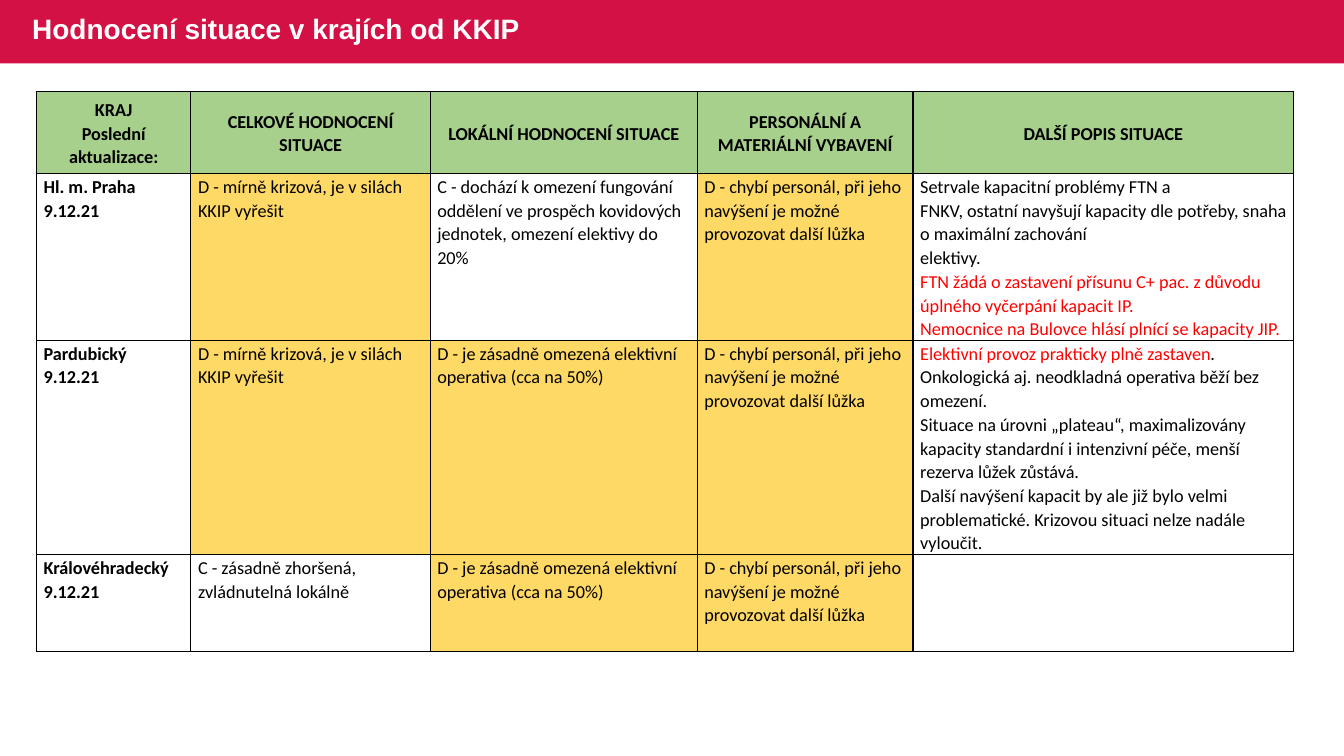
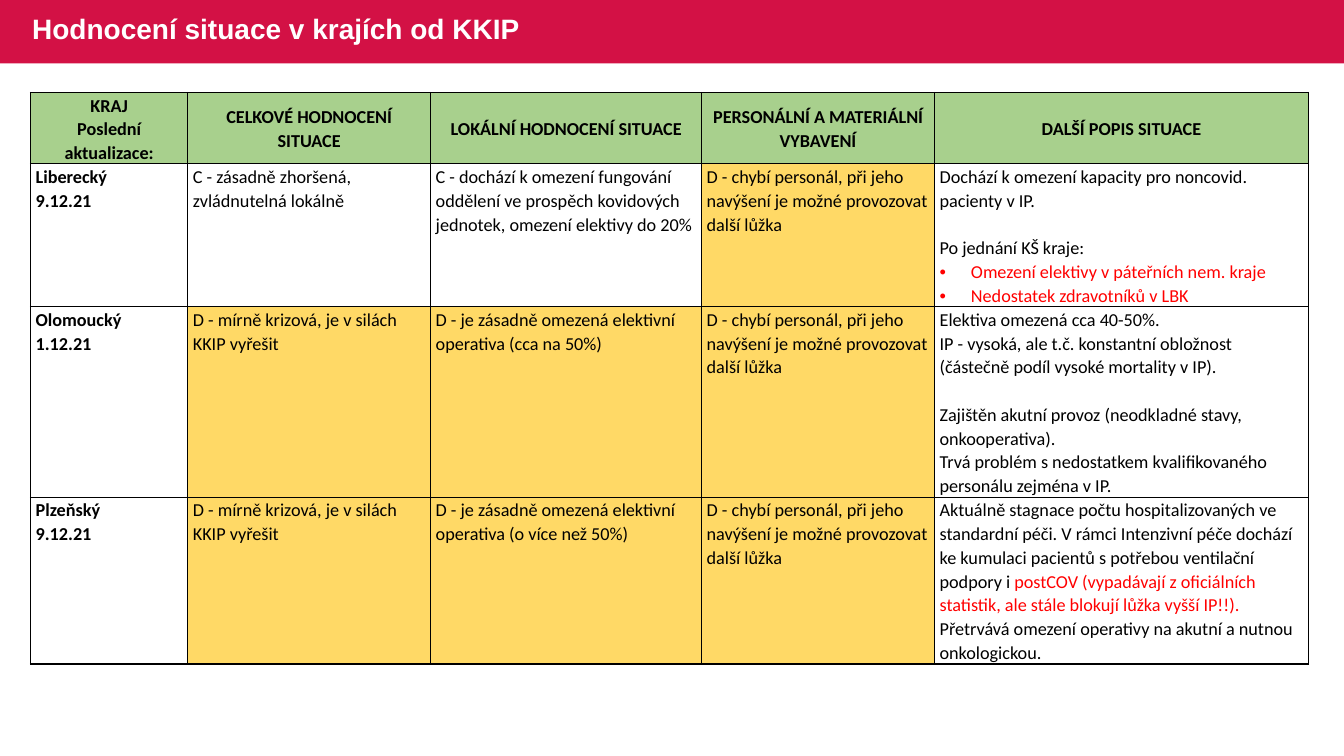
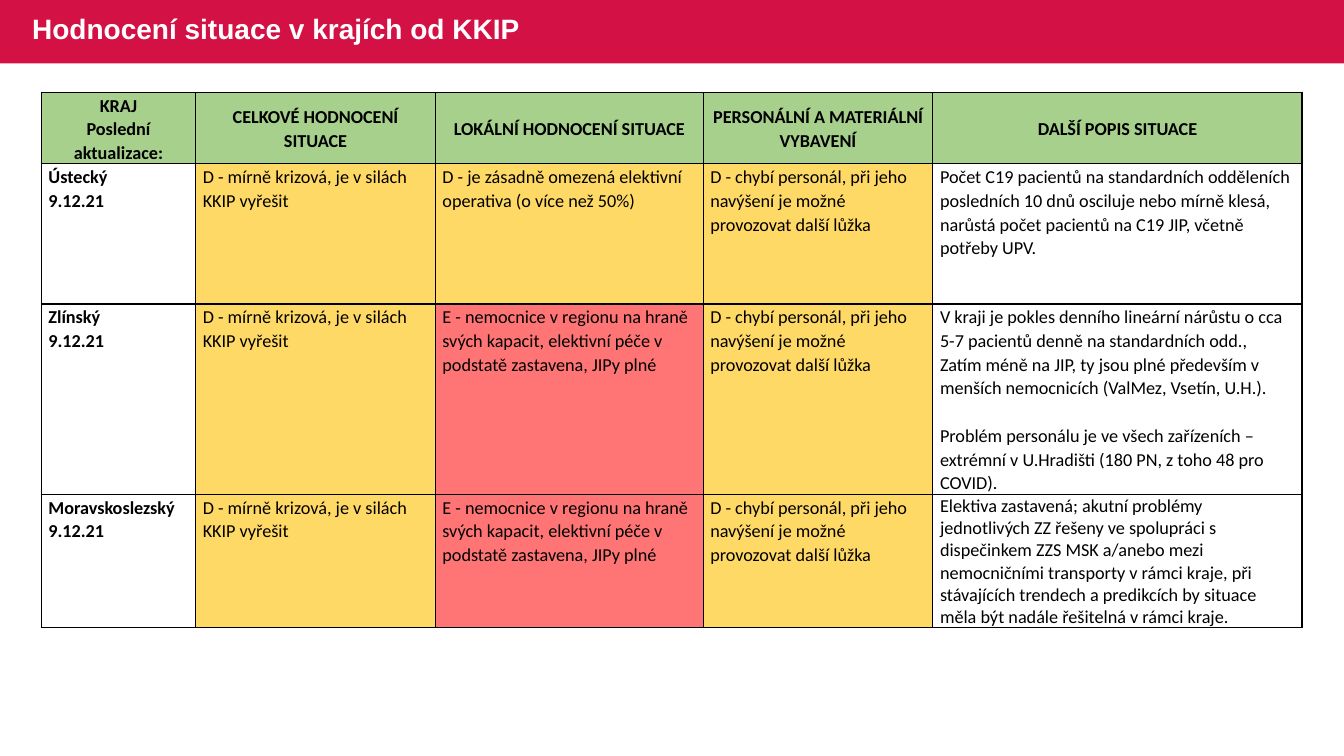
from dataclasses import dataclass

from lxml import etree
from pptx import Presentation
from pptx import util as u
from pptx.dml import color
from pptx.enum import shapes, text
from pptx.oxml import ns

COLORS = {
    "band": "D31145",
    "header": "A8D08D",
    "D": "FFD966",
    "E": "FF7575",
    "black": "000000",
    "white": "FFFFFF",
    "red": "FF0000",
}
TITLE = "Hodnocení situace v krajích od KKIP"
HEADERS = [
    "KRAJ\nPoslední aktualizace:",
    "CELKOVÉ HODNOCENÍ SITUACE",
    "LOKÁLNÍ HODNOCENÍ SITUACE",
    "PERSONÁLNÍ A MATERIÁLNÍ VYBAVENÍ",
    "DALŠÍ POPIS SITUACE",
]

# Standard ratings; the leading letter decides the cell fill
WORSENED = "C - zásadně zhoršená, zvládnutelná lokálně"
CRISIS = "D - mírně krizová, je v silách KKIP vyřešit"
LIMITED_20 = ("C - dochází k omezení fungování oddělení ve prospěch kovidových "
              "jednotek, omezení elektivy do 20%")
LIMITED_50 = "D - je zásadně omezená elektivní operativa (cca na 50%)"
LIMITED_OVER_50 = "D - je zásadně omezená elektivní operativa (o více než 50%)"
FULL = ("E - nemocnice v regionu na hraně svých kapacit, elektivní péče "
        "v podstatě zastavena, JIPy plné")
STAFF = ("D - chybí personál, při jeho navýšení je možné provozovat "
         "další lůžka")


@dataclass
class Para:
    """A paragraph: black text, then red text, then black text."""
    text: str = ""
    red: str = ""
    tail: str = ""
    bullet: bool = False
    gap: bool = False
    spacing: float = 1.07


class Deck:
    font, size = "Calibri", 13
    width, height = 33.87, 19.05
    band_height = 1.6
    line_gap = 17

    def __init__(self):
        self.prs = Presentation()
        self.prs.slide_width = u.Cm(self.width)
        self.prs.slide_height = u.Cm(self.height)
        self.s = None

    def rgb(self, name):
        return color.RGBColor.from_string(COLORS[name])

    def style(self, r, name="black", bold=False, size=None, font=None):
        r.font.name = font or self.font
        r.font.size = u.Pt(size or self.size)
        r.font.bold = bold
        r.font.color.rgb = self.rgb(name)

    def slide(self, title):
        self.s = self.prs.slides.add_slide(self.prs.slide_layouts[6])
        self.band()
        self.title(title)

    def band(self):
        sp = self.s.shapes.add_shape(shapes.MSO_SHAPE.RECTANGLE, 0, 0,
                                     u.Cm(self.width), u.Cm(self.band_height))
        sp.shadow.inherit = False
        sp.fill.solid()
        sp.fill.fore_color.rgb = self.rgb("band")
        sp.line.fill.background()

    def title(self, title):
        sp = self.s.shapes.add_textbox(u.Cm(0.56), u.Cm(-0.03),
                                       u.Cm(20.68), u.Cm(self.band_height))
        tf = sp.text_frame
        tf.word_wrap = True
        tf.vertical_anchor = text.MSO_ANCHOR.MIDDLE
        tf.text = title
        p = tf.paragraphs[0]
        p.line_spacing = 0.9
        self.style(p.runs[0], "white", True, 20, "Arial")

    def paragraph(self, p, para, bold, align):
        p.text = para.text
        p.alignment = align
        p.line_spacing = para.spacing
        if para.gap:
            p.space_before = u.Pt(self.line_gap)
        if para.bullet:
            pPr = p._p.get_or_add_pPr()
            pPr.set("marL", str(u.Cm(0.79)))
            pPr.set("indent", str(u.Cm(-0.79)))
            etree.SubElement(pPr, ns.qn("a:buFont"), typeface="Arial")
            etree.SubElement(pPr, ns.qn("a:buChar"), char="•")
        for r in p.runs:
            self.style(r, bold=bold)
        for words, name in ((para.red, "red"), (para.tail, "black")):
            if words:
                r = p.add_run()
                r.text = words
                self.style(r, name, bold)
        # Line breaks keep the text size
        for br in p._p.findall(ns.qn("a:br")):
            etree.SubElement(br, ns.qn("a:rPr"), sz=str(self.size * 100))

    def borders(self, cell):
        tcPr = cell._tc.get_or_add_tcPr()
        for side in ("lnL", "lnR", "lnT", "lnB"):
            ln = etree.SubElement(tcPr, ns.qn("a:" + side), w=str(u.Pt(1)))
            fill = etree.SubElement(ln, ns.qn("a:solidFill"))
            etree.SubElement(fill, ns.qn("a:srgbClr"), val=COLORS["black"])

    def cell(self, cell, paras, inset, fill=None, bold=False, header=False):
        cell.margin_left = cell.margin_right = u.Cm(inset)
        cell.margin_top, cell.margin_bottom = u.Cm(0.02), 0
        self.borders(cell)
        if fill:
            cell.fill.solid()
            cell.fill.fore_color.rgb = self.rgb(fill)
        else:
            cell.fill.background()
        align = None
        if header:
            cell.vertical_anchor = text.MSO_ANCHOR.MIDDLE
            align = text.PP_ALIGN.CENTER
        tf = cell.text_frame
        for i, para in enumerate(paras):
            p = tf.add_paragraph() if i else tf.paragraphs[0]
            self.paragraph(p, para, bold, align)

    def table(self, left, top, cols, heights, regions, inset=0.18):
        frame = self.s.shapes.add_table(
            len(heights), len(cols), u.Cm(left), u.Cm(top),
            u.Cm(sum(cols)), u.Cm(sum(heights)))
        table = frame.table
        table.first_row = table.horz_banding = False
        for col, width in zip(table.columns, cols):
            col.width = u.Cm(width)
        for row, height in zip(table.rows, heights):
            row.height = u.Cm(height)
        for j, label in enumerate(HEADERS):
            self.cell(table.cell(0, j), map(Para, label.split("\n")), inset,
                      "header", bold=True, header=True)
        for i, (name, date, *ratings, notes) in enumerate(regions, 1):
            self.cell(table.cell(i, 0), [Para(name), Para(date)], inset,
                      bold=True)
            for j, rating in enumerate(ratings, 1):
                self.cell(table.cell(i, j), [Para(rating)], inset,
                          rating[0] if rating[0] in COLORS else None)
            self.cell(table.cell(i, len(cols) - 1), notes, inset)


def main():
    deck = Deck()

    # Praha, Pardubický, Královéhradecký
    deck.slide(TITLE)
    deck.table(0.92, 2.31, [3.89, 6.03, 6.73, 5.44, 9.59],
               [2.07, 4.2, 5.4, 2.43], [
        ("Hl. m. Praha", "9.12.21", CRISIS, LIMITED_20, STAFF, [
            Para("Setrvale kapacitní problémy FTN a\nFNKV, ostatní navyšují "
                 "kapacity dle potřeby, snaha o maximální zachování\n"
                 "elektivy."),
            Para(red="FTN žádá o zastavení přísunu C+ pac. z důvodu úplného "
                     "vyčerpání kapacit IP."),
            Para(red="Nemocnice na Bulovce hlásí plnící se kapacity JIP."),
        ]),
        ("Pardubický", "9.12.21", CRISIS, LIMITED_50, STAFF, [
            Para(red="Elektivní provoz prakticky plně zastaven",
                 tail=". Onkologická aj. neodkladná operativa běží bez "
                      "omezení."),
            Para("Situace na úrovni „plateau“, maximalizovány kapacity "
                 "standardní i intenzivní péče, menší rezerva lůžek zůstává."),
            Para("Další navýšení kapacit by ale již bylo velmi problematické. "
                 "Krizovou situaci nelze nadále vyloučit."),
        ]),
        ("Královéhradecký", "9.12.21", WORSENED, LIMITED_50, STAFF, []),
    ])

    # Liberecký, Olomoucký, Plzeňský
    deck.slide(TITLE)
    deck.table(0.77, 2.33, [3.96, 6.12, 6.83, 5.87, 9.42],
               [1.8, 3.6, 4.8, 4.2], [
        ("Liberecký", "9.12.21", WORSENED, LIMITED_20, STAFF, [
            Para("Dochází k omezení kapacity pro noncovid. pacienty v IP."),
            Para("Po jednání KŠ kraje:", gap=True),
            Para(red="Omezení elektivy v páteřních nem. kraje", bullet=True),
            Para(red="Nedostatek zdravotníků v LBK", bullet=True),
        ]),
        ("Olomoucký", "1.12.21", CRISIS, LIMITED_50, STAFF, [
            Para("Elektiva omezená cca 40-50%."),
            Para("IP - vysoká, ale t.č. konstantní obložnost (částečně podíl "
                 "vysoké mortality v IP)."),
            Para("Zajištěn akutní provoz (neodkladné stavy, onkooperativa).",
                 gap=True),
            Para("Trvá problém s nedostatkem kvalifikovaného personálu "
                 "zejména v IP."),
        ]),
        ("Plzeňský", "9.12.21", CRISIS, LIMITED_OVER_50, STAFF, [
            Para("Aktuálně stagnace počtu hospitalizovaných ve standardní "
                 "péči. V rámci Intenzivní péče dochází ke kumulaci pacientů "
                 "s potřebou ventilační podpory i ",
                 "postCOV (vypadávají z oficiálních statistik, ale stále "
                 "blokují lůžka vyšší IP!!)."),
            Para("Přetrvává omezení operativy na akutní a nutnou "
                 "onkologickou."),
        ]),
    ], inset=0.13)

    # Ústecký, Zlínský, Moravskoslezský
    deck.slide(TITLE)
    deck.table(1.04, 2.33, [3.89, 6.04, 6.75, 5.79, 9.3],
               [1.8, 3.53, 4.8, 3.36], [
        ("Ústecký", "9.12.21", CRISIS, LIMITED_OVER_50, STAFF, [
            Para("Počet C19 pacientů na standardních odděleních posledních "
                 "10 dnů osciluje nebo mírně klesá, narůstá počet pacientů "
                 "na C19 JIP, včetně potřeby UPV."),
        ]),
        ("Zlínský", "9.12.21", CRISIS, FULL, STAFF, [
            Para("V kraji je pokles denního lineární nárůstu o cca 5-7 "
                 "pacientů denně na standardních odd.,"),
            Para("Zatím méně na JIP, ty jsou plné především v menších "
                 "nemocnicích (ValMez, Vsetín, U.H.)."),
            Para("Problém personálu je ve všech zařízeních – extrémní "
                 "v U.Hradišti (180 PN, z toho 48 pro COVID).", gap=True),
        ]),
        ("Moravskoslezský", "9.12.21", CRISIS, FULL, STAFF, [
            Para("Elektiva zastavená; akutní problémy jednotlivých ZZ řešeny "
                 "ve spolupráci s dispečinkem ZZS MSK a/anebo mezi "
                 "nemocničními transporty v rámci kraje, při stávajících "
                 "trendech a predikcích by situace měla být nadále řešitelná "
                 "v rámci kraje.", spacing=1.0),
        ]),
    ])

    deck.prs.save("out.pptx")


if __name__ == "__main__":
    main()
